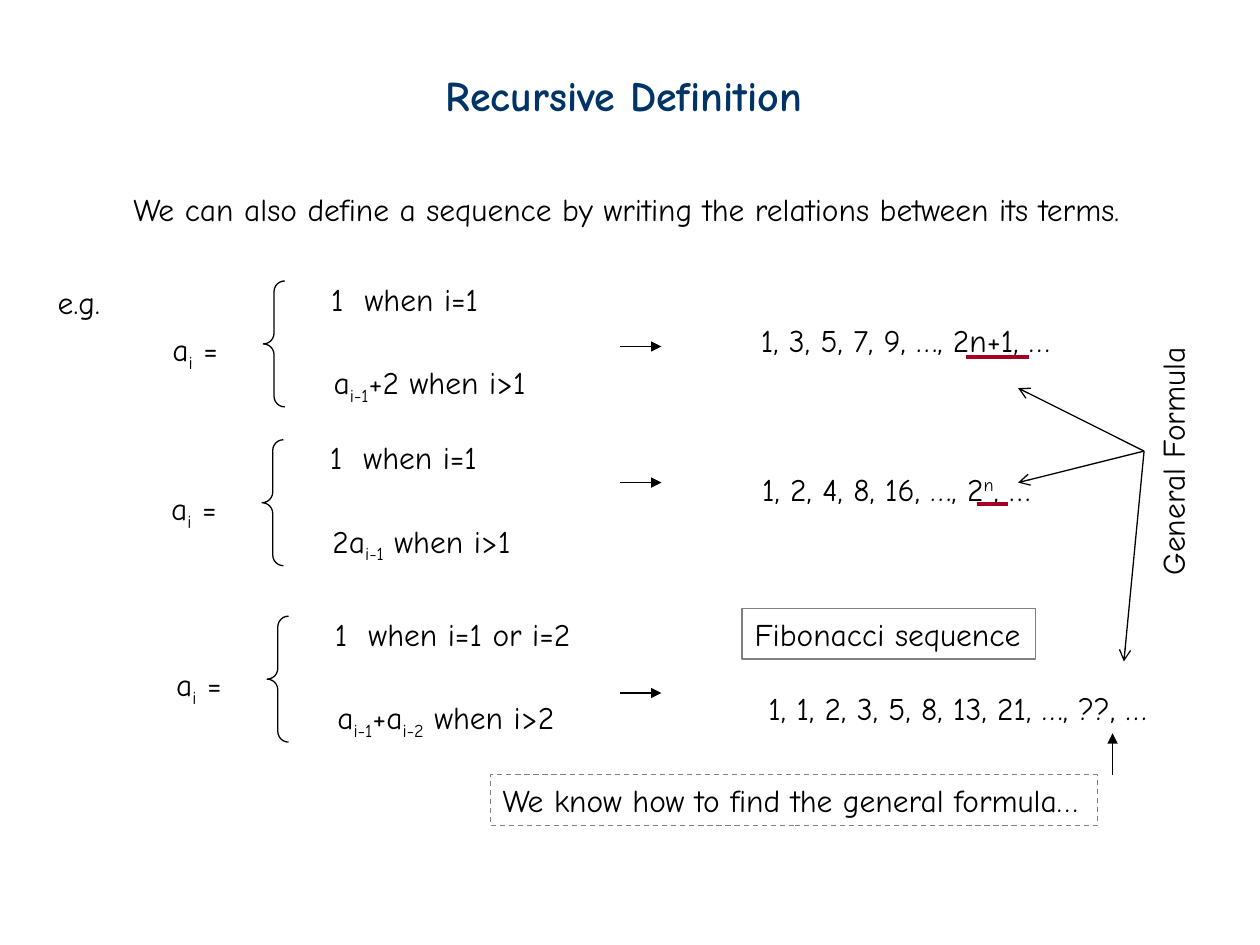
from lxml import etree
from pptx import Presentation
from pptx.dml.color import RGBColor
from pptx.enum.dml import MSO_LINE
from pptx.enum.shapes import MSO_CONNECTOR, MSO_SHAPE
from pptx.enum.text import MSO_AUTO_SIZE
from pptx.oxml.ns import qn
from pptx.util import Inches, Pt

STRAIGHT = MSO_CONNECTOR.STRAIGHT
LEFT_BRACE = MSO_SHAPE.LEFT_BRACE
DASH = MSO_LINE.DASH
FIT_SHAPE = MSO_AUTO_SIZE.SHAPE_TO_FIT_TEXT

NAVY = RGBColor(0x00, 0x33, 0x66)
BLACK = RGBColor(0x00, 0x00, 0x00)
GRAY = RGBColor(0x80, 0x80, 0x80)
RED = RGBColor(0xA5, 0x00, 0x21)
FONT = "Comic Neue"
LINE_HEIGHT = 0.4
SUBSCRIPT_HEIGHT = 0.44
WIDTH_SLACK = 0.02  # keeps each text on one line

# A span starting with "_" is a subscript, one starting with "^" a superscript
BASELINES = {"_": "-25000", "^": "30000"}

TITLE = "Recursive Definition"
INTRO = "We can also define a sequence by writing the relations between its terms."
TERM = ["a", "_i", " ="]

# Each definition: left and top of its cases, then (spans, width) for both
# cases, and the height of the arrow to its sequence
DEFINITIONS = [
    (2.53, 2.17, (["1  when i=1"], 1.37),
     (["a", "_i-1", "+2 when i>1"], 1.72), 2.75),
    (2.52, 3.43, (["1  when i=1"], 1.37),
     (["2a", "_i-1", " when i>1"], 1.61), 3.83),
    (2.56, 4.83, (["1  when i=1 or i=2"], 2.07),
     (["a", "_i-1", "+a", "_i-2", " when i>2"], 1.92), 5.5),
]

# Sequences: spans, left, top, width
SEQUENCES = [
    (["1, 3, 5, 7, 9, …, 2n+1, …"], 5.94, 2.5, 2.49),
    (["1, 2, 4, 8, 16, …, 2", "^n", ", …"], 5.95, 3.68, 2.33),
    (["1, 1, 2, 3, 5, 8, 13, 21, …, ??, …"], 6, 5.42, 3.2),
]

# Underlines of the general terms: left, right, height
UNDERLINES = [(7.67, 8.17, 2.83), (7.75, 8, 4)]

FORMULA_POINT = (9.08, 3.58)
FORMULA_TARGETS = [(8.08, 3.08), (8.08, 3.83), (8.92, 5.25)]


def add_text(page, spans, left, top, width, height=LINE_HEIGHT,
             size=18, color=BLACK, bold=False):
    box = page.shapes.add_textbox(Inches(left), Inches(top),
                                  Inches(width + WIDTH_SLACK), Inches(height))
    box.text_frame.word_wrap = False
    box.text_frame.auto_size = FIT_SHAPE
    para = box.text_frame.paragraphs[0]
    para.font.name = FONT
    para.font.size = Pt(size)
    para.font.bold = bold
    para.font.color.rgb = color
    for text in spans:
        span = para.add_run()
        baseline = BASELINES.get(text[0])
        span.text = text[1:] if baseline else text
        if baseline:
            span.font._element.set("baseline", baseline)
    return box


def add_frame(box, dash=None):
    box.line.color.rgb = GRAY
    box.line.width = Pt(0.75)
    if dash:
        box.line.dash_style = dash


def add_line(page, start, end, color=BLACK, width=0.75, arrowhead=None):
    points = [Inches(value) for value in (*start, *end)]
    line = page.shapes.add_connector(STRAIGHT, *points)
    line.line.color.rgb = color
    line.line.width = Pt(width)
    if arrowhead:
        etree.SubElement(line.line._get_or_add_ln(), qn("a:tailEnd"),
                         type=arrowhead)
    etree.SubElement(line._element.spPr, qn("a:effectLst"))


def add_brace(page, left, top):
    brace = page.shapes.add_shape(LEFT_BRACE, Inches(left), Inches(top),
                                  Inches(0.17), Inches(1))
    brace.adjustments[0] = 0.5
    brace.shadow.inherit = False
    brace.fill.background()
    brace.line.color.rgb = BLACK
    brace.line.width = Pt(0.75)


def add_definition(page, left, top, first_case, second_case, arrow_height):
    add_brace(page, left - 0.44, top + 0.06)
    add_text(page, TERM, left - 1.26, top + 0.4, 0.56, SUBSCRIPT_HEIGHT)
    add_text(page, first_case[0], left, top, first_case[1])
    add_text(page, second_case[0], left + 0.02, top + 0.66, second_case[1],
             SUBSCRIPT_HEIGHT)
    add_line(page, (4.92, arrow_height), (5.25, arrow_height),
             arrowhead="triangle")


def main():
    deck = Presentation()
    deck.slide_width, deck.slide_height = Inches(10), Inches(7.5)
    page = deck.slides.add_slide(deck.slide_layouts[6])

    # Heading and introduction
    add_text(page, [TITLE], 3.44, 0.5, 3.03, 0.5, size=24, color=NAVY, bold=True)
    add_text(page, [INTRO], 0.96, 1.46, 8.06)
    add_text(page, ["e.g."], 0.36, 2.2, 0.53)

    # Recursive definitions and the sequences they give
    for definition in DEFINITIONS:
        add_definition(page, *definition)
    for sequence in SEQUENCES:
        add_text(page, *sequence)
    for left, right, height in UNDERLINES:
        add_line(page, (left, height), (right, height), RED, 2.25)

    # Framed remarks on the last sequence
    add_frame(add_text(page, ["Fibonacci sequence"], 5.89, 4.83, 2.31))
    add_frame(add_text(page, ["We know how to find the general formula…"],
                       3.89, 6.15, 4.8), DASH)
    add_line(page, (8.83, 6.15), (8.83, 5.82), arrowhead="triangle")

    # Vertical label pointing at the general terms
    add_text(page, ["General Formula"], 8.28, 3.44, 2.03).rotation = 270
    for target in FORMULA_TARGETS:
        add_line(page, FORMULA_POINT, target, arrowhead="arrow")

    deck.save("out.pptx")


if __name__ == "__main__":
    main()
